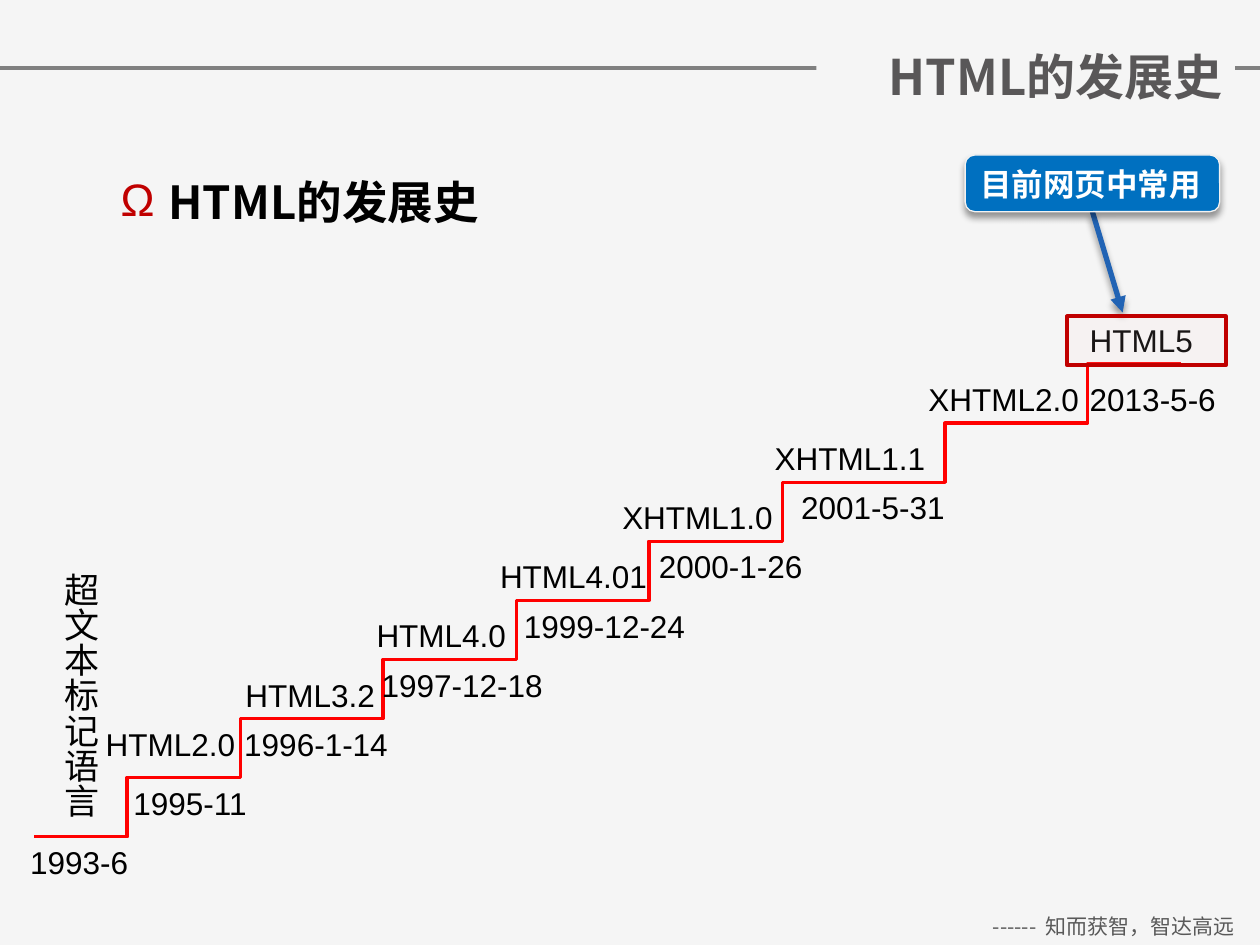
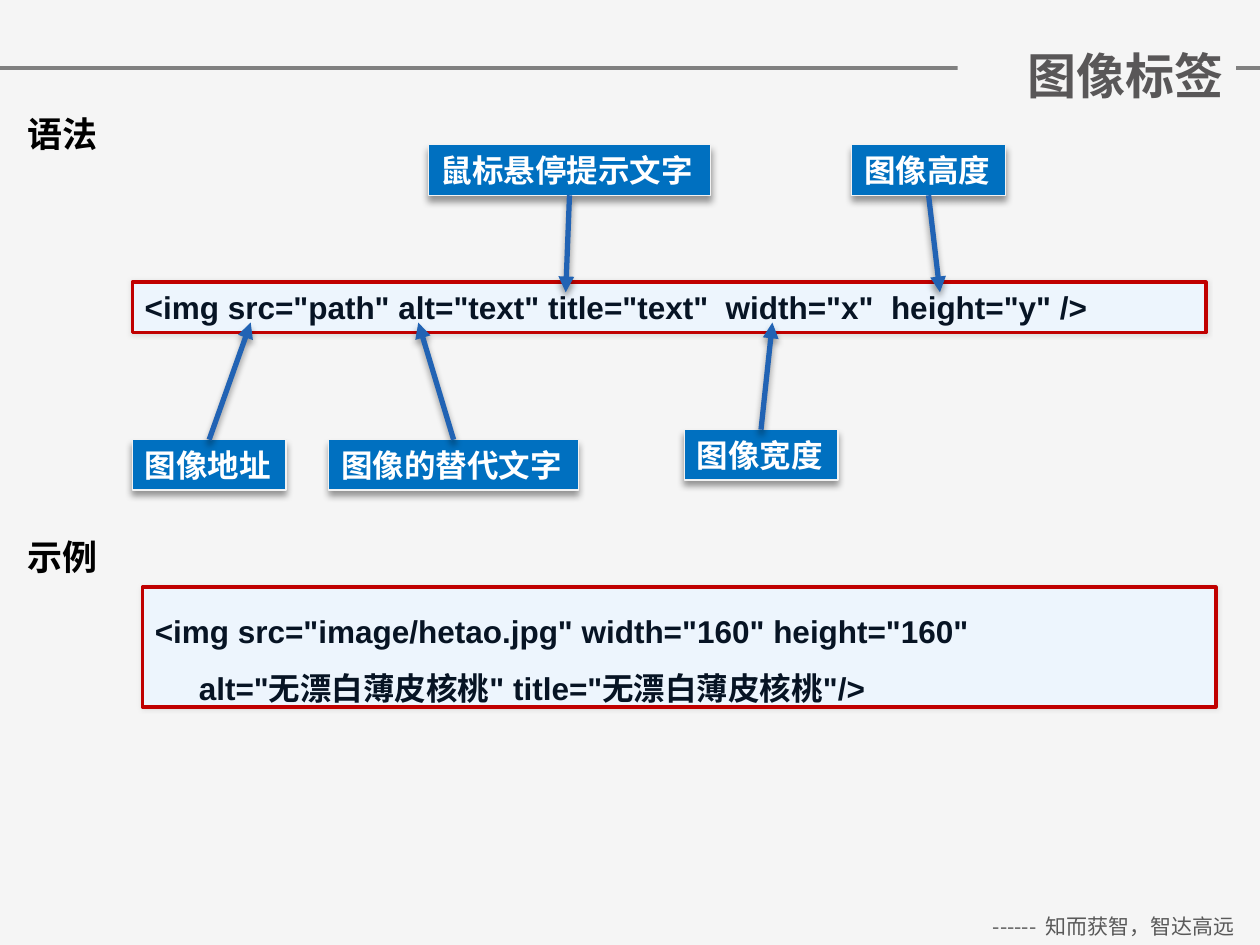
import pptx
import pptx.dml.color
import pptx.enum.shapes
import pptx.enum.text
import pptx.oxml
import pptx.oxml.ns
import pptx.util

Inches = pptx.util.Inches
Pt = pptx.util.Pt
RGBColor = pptx.dml.color.RGBColor
Shape = pptx.enum.shapes.MSO_SHAPE
Link = pptx.enum.shapes.MSO_CONNECTOR
Align = pptx.enum.text.PP_ALIGN
Anchor = pptx.enum.text.MSO_ANCHOR
Fit = pptx.enum.text.MSO_AUTO_SIZE
qn = pptx.oxml.ns.qn

PAPER = RGBColor(0xF5, 0xF5, 0xF5)
RULE = RGBColor(0x80, 0x80, 0x80)
TITLE = RGBColor(0x59, 0x57, 0x58)
FOOT = RGBColor(0x59, 0x59, 0x59)
BLACK = RGBColor(0, 0, 0)
WHITE = RGBColor(0xFF, 0xFF, 0xFF)
STAIR = RGBColor(0xFF, 0, 0)
RED = RGBColor(0xC0, 0, 0)
PINK = RGBColor(0xFF, 0xDD, 0xDD)
BLUE = RGBColor(0, 0x70, 0xC0)
EDGE = RGBColor(0xF2, 0xF2, 0xF2)
ARROW = RGBColor(0x21, 0x63, 0xB4)
ICE = RGBColor(0xED, 0xF5, 0xFD)
INK = RGBColor(0x07, 0x14, 0x24)
SANS = "Noto Sans CJK SC"
ARIAL = "Arial"
DROP = (40, 4, 3, 90)
GLOW = (10, 3, 0, 0)

STEPS = [
    (0, "HTML2.0", 0.47, 1.24, "1995-11", 0.69, 1.11),
    (0.9, "HTML3.2", 1.58, 1.24, "1996-1-14", 1.57, 1.37),
    (2.03, "HTML4.0", 2.62, 1.24, "1997-12-18", 2.66, 1.49),
    (3.09, "HTML4.01", 3.6, 1.38, "1999-12-24", 3.79, 1.49),
    (4.14, "XHTML1.0", 4.57, 1.42, "2000-1-26", 4.86, 1.35),
    (5.2, "XHTML1.1", 5.78, 1.41, "2001-5-31", 5.99, 1.35),
    (6.49, "XHTML2.0", 7, 1.41, None, 0, 0),
    (7.62, "HTML5", 8.28, 1.03, "2013-5-6", 8.28, 1.21),
]
TAGS = [
    ("图像地址", 0, 2.34, 1.22, 0.94),
    ("图像的替代文字", 1.56, 2.34, 1.98, 2.27),
    ("鼠标悬停提示文字", 2.35, 0, 2.24, 3.44),
    ("图像宽度", 4.38, 2.26, 1.22, 5.08),
    ("图像高度", 5.71, 0, 1.22, 6.41),
]


def effect(shadow=None):
    """Return an effect list, empty or with one outer shadow."""
    inner = ""
    if shadow:
        alpha, blur, dist, angle = shadow
        inner = (f'<a:outerShdw blurRad="{Pt(blur)}" dist="{Pt(dist)}" dir="{angle * 60000}">'
                 f'<a:srgbClr val="000000"><a:alpha val="{alpha * 1000}"/></a:srgbClr></a:outerShdw>')
    return pptx.oxml.parse_xml(
        f'<a:effectLst xmlns:a="http://schemas.openxmlformats.org/drawingml/2006/main">{inner}</a:effectLst>')


def write(shape, text, size=18, font=ARIAL, color=BLACK, bold=False, align=Align.LEFT,
          anchor=Anchor.TOP, wrap=False, space=None, shadow=None, fit=Fit.SHAPE_TO_FIT_TEXT):
    """Fill a shape with formatted lines of text."""
    frame = shape.text_frame
    frame.text = text
    frame.word_wrap = wrap
    frame.auto_size = fit
    frame.vertical_anchor = anchor
    for para in frame.paragraphs:
        para.alignment = align
        para.line_spacing = space
        for run in para.runs:
            face = run.font
            face.size, face.name, face.bold = Pt(size), font, bold
            face.color.rgb = color
            props = run._r.get_or_add_rPr()
            latin = props.find(qn("a:latin"))
            east = props.makeelement(qn("a:ea"), {"typeface": font})
            latin.addnext(east)
            if shadow:
                latin.addprevious(effect(shadow))
    return shape


def label(slide, text, left, top, wide, high=0.4, **style):
    """Add a text box."""
    box = slide.shapes.add_textbox(Inches(left), Inches(top), Inches(wide), Inches(high))
    return write(box, text, **style)


def panel(slide, kind, left, top, wide, high, fill, edge, width, shadow=None, adjust=()):
    """Add a filled and outlined shape."""
    shape = slide.shapes.add_shape(kind, Inches(left), Inches(top), Inches(wide), Inches(high))
    shape.shadow.inherit = False
    shape.fill.solid()
    shape.fill.fore_color.rgb = fill
    shape.line.color.rgb = edge
    shape.line.width = Pt(width)
    for spot, value in enumerate(adjust):
        shape.adjustments[spot] = value
    if shadow:
        plain = shape._element.spPr.find(qn("a:effectLst"))
        plain.getparent().replace(plain, effect(shadow))
    return shape


def stroke(slide, start, end, color, width, kind=Link.STRAIGHT, shadow=None, head=False):
    """Add a line, with an arrowhead at its end if asked."""
    line = slide.shapes.add_connector(kind, *map(Inches, start + end))
    line.line.color.rgb = color
    line.line.width = Pt(width)
    if head:
        pen = line.line._get_or_add_ln()
        pen.append(pen.makeelement(qn("a:tailEnd"), {"type": "triangle"}))
    line._element.spPr.append(effect(shadow))
    return line


def arrow(slide, start, end):
    """Add a blue pointer."""
    stroke(slide, start, end, ARROW, 3, shadow=DROP, head=True)


def badge(slide, text, kind, left, top, wide, high, adjust):
    """Add a blue caption box."""
    shape = panel(slide, kind, left, top, wide, high, BLUE, EDGE, 0.75, DROP, adjust)
    write(shape, text, color=WHITE, bold=True, anchor=Anchor.BOTTOM)


def code(slide, text, left, top, wide, high, **style):
    """Add a code panel."""
    shape = panel(slide, Shape.ROUNDED_RECTANGLE, left, top, wide, high, ICE, RED, 2, GLOW, [0])
    return write(shape, text, color=INK, bold=True, wrap=True, **style)


def frame(deck, text, left, top, wide, high):
    """Add a slide with its rule, title and footer."""
    slide = deck.slides.add_slide(deck.slide_layouts[5])
    rule = stroke(slide, (0, 0.54), (10, 0.54), RULE, 2)
    slide.shapes._spTree.insert(2, rule._element)
    title = slide.shapes.title
    title.left, title.top, title.width, title.height = map(Inches, (left, top, wide, high))
    title.fill.solid()
    title.fill.fore_color.rgb = PAPER
    write(title, text, size=28, font=SANS, color=TITLE, bold=True,
          align=Align.RIGHT, anchor=Anchor.MIDDLE, wrap=True)
    label(slide, "------  知而获智，智达高远", 7.68, 7.2, 2.32, 0.3,
          size=12, font=SANS, color=FOOT, align=Align.CENTER, wrap=True)
    return slide


def point(slide, text, left, top, wide, high):
    """Add the lead line with its red bullet."""
    box = label(slide, text, left, top, wide, high, size=26, font=SANS, bold=True,
                wrap=True, fit=Fit.NONE)
    para = box.text_frame.paragraphs[0]
    para.space_before = Pt(5)
    props = para._p.get_or_add_pPr()
    props.set("marL", str(Inches(0.38)))
    props.set("indent", str(-Inches(0.38)))
    tint = props.makeelement(qn("a:buClr"), {})
    tint.append(tint.makeelement(qn("a:srgbClr"), {"val": str(RED)}))
    props.append(tint)
    props.append(props.makeelement(qn("a:buFont"), {"typeface": ARIAL}))
    props.append(props.makeelement(qn("a:buChar"), {"char": "Ω"}))


def stairs(slide, left, top, high):
    """Draw the flight of versions, rising to the right."""
    rise = high / len(STEPS)
    base = top + high
    for index, (step, *_) in enumerate(STEPS):
        tread = base - rise * (index + 1)
        stroke(slide, (left + step + 1.48, tread), (left + step, tread + rise),
               STAIR, 2, kind=Link.ELBOW)
    label(slide, "1993-6", left - 0.13, base, 0.99)
    tall = label(slide, "超文本标记语言", left + 0.05, base - 2.19, 0.54, 2.06, size=20)
    tall.text_frame._txBody.bodyPr.set("vert", "eaVert")
    for index, (_, name, near, wide, date, far, span) in enumerate(STEPS):
        tread = base - rise * (index + 1)
        label(slide, name, left + near, tread - (0.39 if index else 0.47), wide)
        if date:
            label(slide, date, left + far, tread + (0.08 if name == "HTML5" else 0), span)


def focus(slide, left, top):
    """Mark the version in use today."""
    arrow(slide, (left + 1.01, top + 0.45), (left + 1.25, top + 1.25))
    badge(slide, "目前网页中常用", Shape.ROUNDED_RECTANGLE, left, top, 2.02, 0.45, [0.17])
    box = panel(slide, Shape.RECTANGLE, left + 0.81, top + 1.28, 1.26, 0.39, PINK, RED, 2.25)
    tint = box._element.spPr.find(qn("a:solidFill"))[0]
    tint.append(tint.makeelement(qn("a:alpha"), {"val": "10000"}))


def syntax(slide, left, top):
    """Show the tag with a caption for each part."""
    code(slide, '<img src="path" alt="text" title="text"  width="x"  height="y" />',
         left, top + 1.09, 8.52, 0.4)
    for text, near, drop, wide, tip in TAGS:
        badge(slide, text, Shape.RECTANGULAR_CALLOUT, left + near, top + drop, wide, 0.4,
              [-0.5, -0.31])
        start, end = (drop, 1.41) if drop else (0.4, 1.17)
        arrow(slide, (left + near + wide / 2, top + start), (left + tip, top + end))


def sample(slide, left, top):
    """Show the worked example."""
    lines = '<img src="image/hetao.jpg" width="160" height="160"\nalt="无漂白薄皮核桃" title="无漂白薄皮核桃"/>'
    box = code(slide, lines, left, top, 8.52, 0.95, space=1.5)
    box.text_frame.paragraphs[1]._p.get_or_add_pPr().set("marL", str(Inches(0.35)))


def main():
    """Build and save the deck."""
    deck = pptx.Presentation()
    deck.slide_width, deck.slide_height = Inches(10), Inches(7.5)
    back = deck.slide_master.background.fill
    back.solid()
    back.fore_color.rgb = PAPER

    story = frame(deck, "HTML的发展史", 6.48, 0.08, 3.32, 1.04)
    point(story, "HTML的发展史", 0.86, 1.33, 8.36, 5.63)
    stairs(story, 0.27, 2.89, 3.75)
    focus(story, 7.66, 1.23)

    image = frame(deck, "图像标签", 7.6, 0.31, 2.21, 0.57)
    for text, top in (("语法", 0.84), ("示例", 4.2)):
        label(image, text, 0.12, top, 0.77, 0.44, size=20, font=SANS, bold=True,
              anchor=Anchor.MIDDLE, shadow=DROP)
    syntax(image, 1.05, 1.15)
    sample(image, 1.13, 4.66)
    deck.save("out.pptx")


if __name__ == "__main__":
    main()
